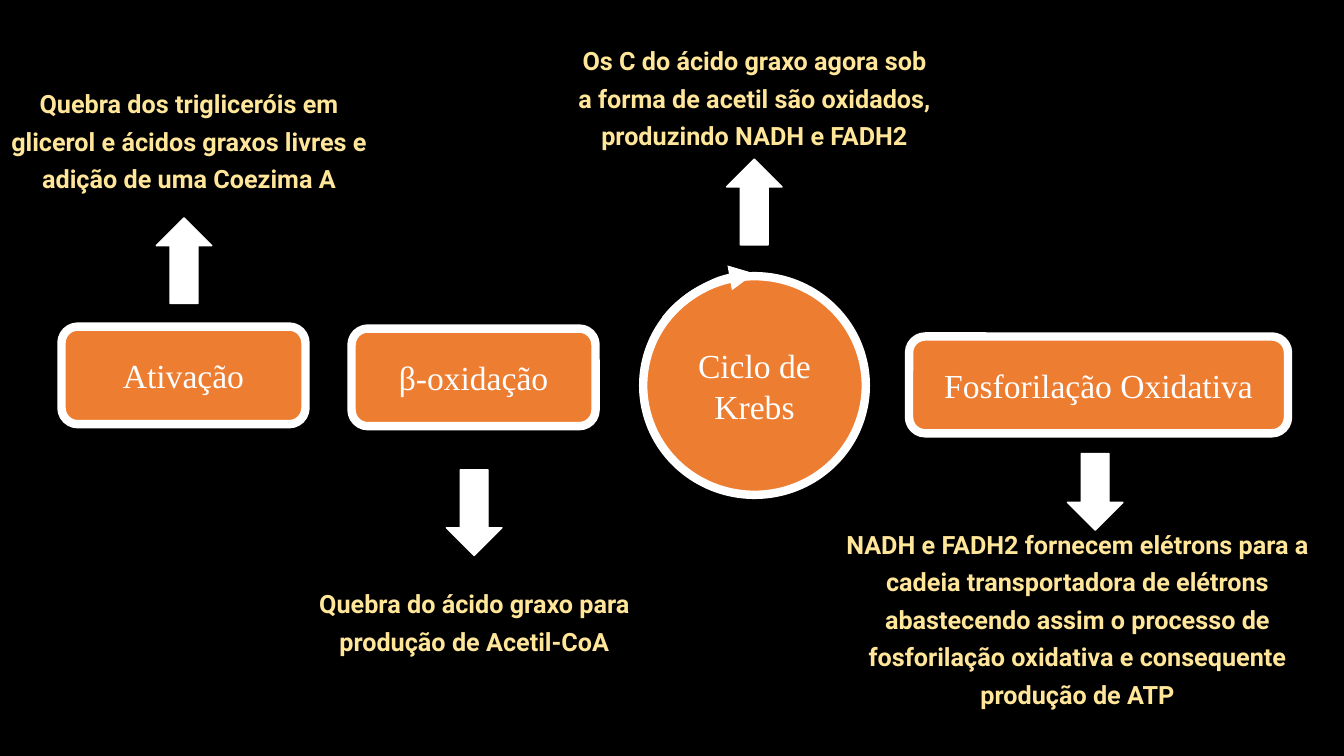
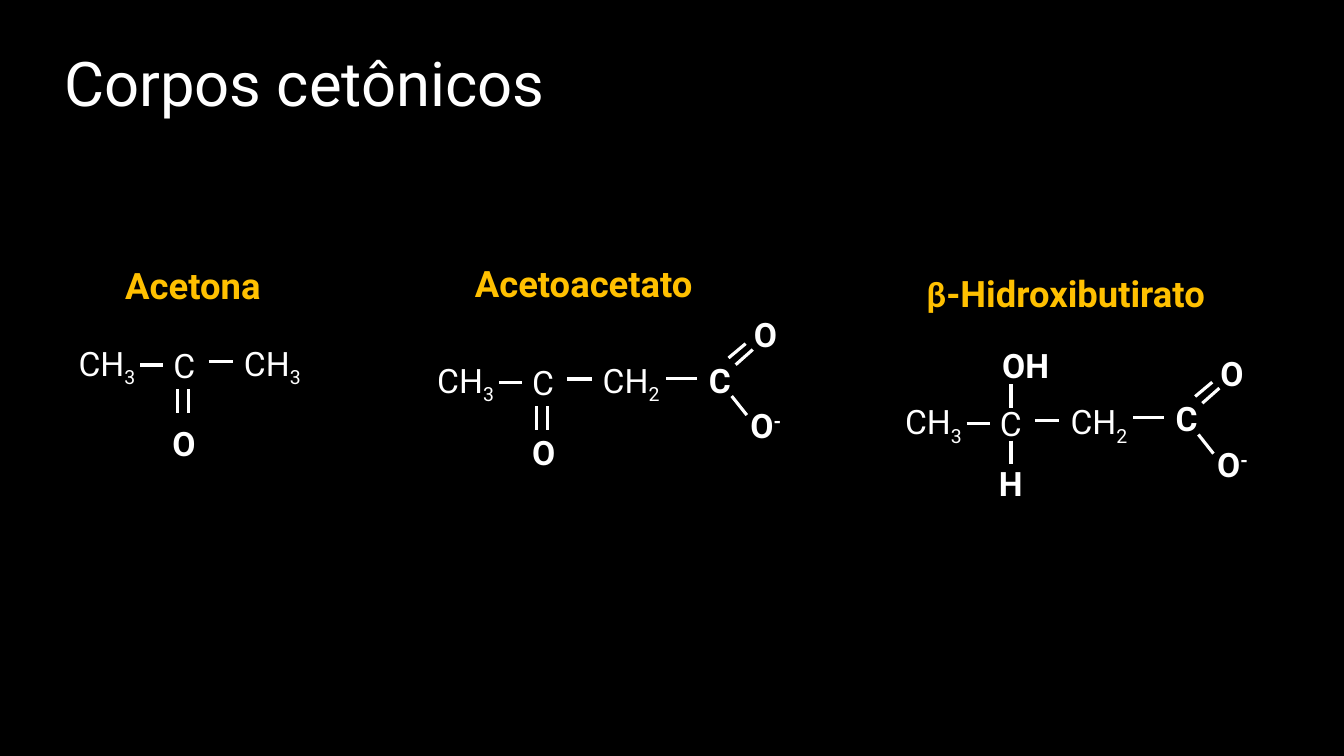
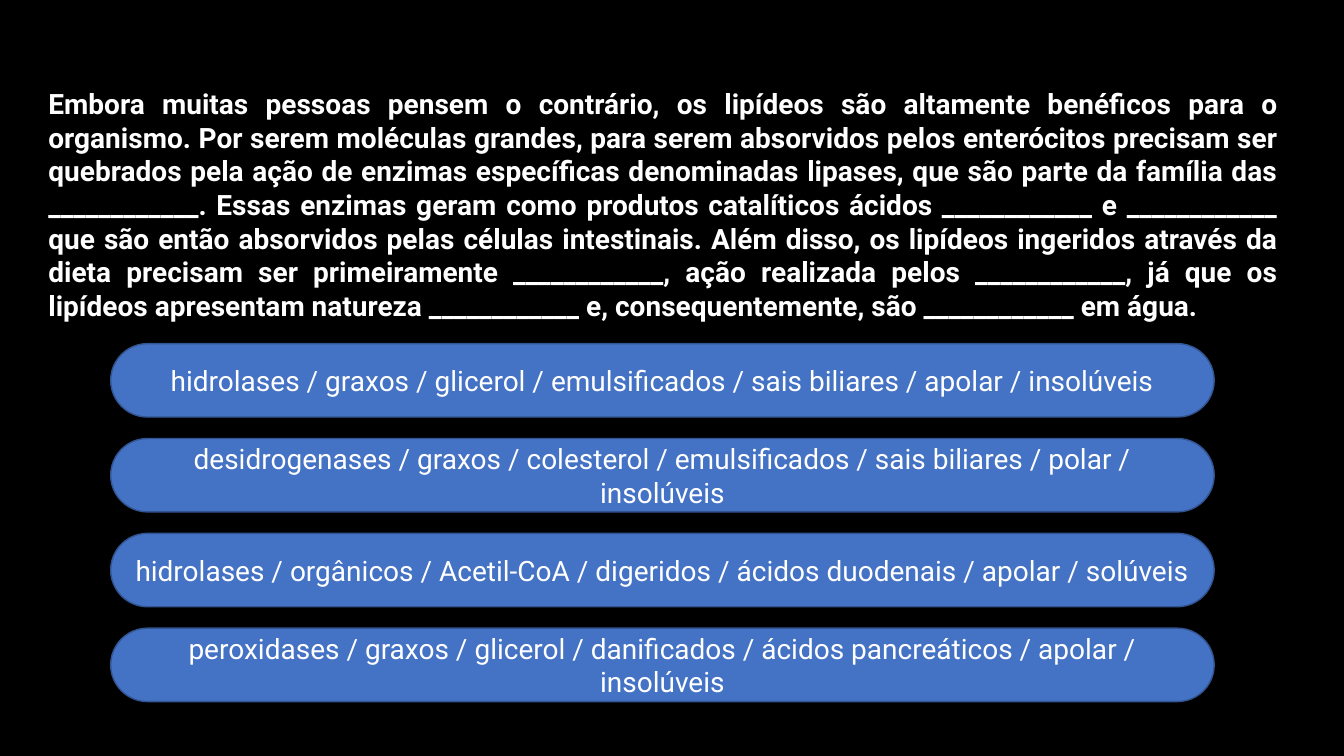
from lxml import etree
from pptx import Presentation
from pptx.dml.color import RGBColor
from pptx.enum import shapes, text
from pptx.oxml import ns
from pptx.util import Cm, Pt

COLORS = {
    "black": "000000", "white": "FFFFFF", "orange": "ED7D31", "cream": "FFE699",
    "gold": "FFC000", "blue": "4472C4", "navy": "325491",
}
KIND = shapes.MSO_SHAPE
LEFT, CENTER, JUSTIFY = (
    text.PP_ALIGN.LEFT, text.PP_ALIGN.CENTER, text.PP_ALIGN.JUSTIFY)
TOP, MIDDLE = text.MSO_ANCHOR.TOP, text.MSO_ANCHOR.MIDDLE

STYLES = {
    "title": {"color": "white", "font": {"size": Pt(44), "name": "Roboto"},
              "paragraph": {"alignment": LEFT, "line_spacing": 0.9},
              "frame": {"vertical_anchor": MIDDLE, "word_wrap": True}},
    "step": {"color": "white", "font": {"size": Pt(24), "name": "Times New Roman"},
             "paragraph": {"alignment": CENTER},
             "frame": {"vertical_anchor": MIDDLE, "word_wrap": True}},
    "note": {"color": "cream", "font": {"size": Pt(18), "name": "Roboto", "bold": True},
             "paragraph": {"alignment": CENTER, "line_spacing": 1.24},
             "frame": {"vertical_anchor": TOP, "word_wrap": True}},
    "compound": {"color": "gold", "font": {"size": Pt(26), "name": "Roboto", "bold": True},
                 "paragraph": {"alignment": CENTER, "line_spacing": 0.9},
                 "frame": {"vertical_anchor": TOP, "word_wrap": True}},
    "chain": {"color": "white", "font": {"size": Pt(24), "name": "Roboto"},
              "paragraph": {"alignment": LEFT},
              "frame": {"vertical_anchor": TOP, "word_wrap": False}},
    "branch": {"color": "white", "font": {"size": Pt(24), "name": "Roboto", "bold": True},
               "paragraph": {"alignment": CENTER},
               "frame": {"vertical_anchor": TOP, "word_wrap": True}},
    "question": {"color": "white", "font": {"size": Pt(20), "name": "Roboto", "bold": True},
                 "paragraph": {"alignment": JUSTIFY},
                 "frame": {"vertical_anchor": TOP, "word_wrap": True}},
    "option": {"color": "white", "font": {"size": Pt(20), "name": "Roboto"},
               "paragraph": {"alignment": CENTER},
               "frame": {"vertical_anchor": MIDDLE, "word_wrap": True}},
}

STEPS = [
    {"name": "Ativação", "kind": KIND.ROUNDED_RECTANGLE, "box": (1.55, 8.23, 6.15, 2.46),
     "arrow": (KIND.UP_ARROW, (3.94, 5.49, 1.4, 2.16)),
     "note": "Quebra dos trigliceróis em glicerol e ácidos graxos livres e "
             "adição de uma Coezima A",
     "note_box": (0, 1.93, 9.53, 3.58)},
    {"name": "β-oxidação", "kind": KIND.ROUNDED_RECTANGLE, "box": (8.86, 8.28, 6.15, 2.46),
     "arrow": (KIND.DOWN_ARROW, (11.25, 11.84, 1.4, 2.16)),
     "note": "Quebra do ácido graxo para produção de Acetil-CoA",
     "note_box": (7.19, 14.53, 9.53, 3.05)},
    {"name": "Ciclo de Krebs", "kind": KIND.OVAL, "box": (16.21, 6.96, 5.61, 5.51),
     "arrow": (KIND.UP_ARROW, (18.31, 4.01, 1.4, 2.16)),
     "note": "Os C do ácido graxo agora sob a forma de acetil são oxidados, "
             "produzindo NADH e FADH2",
     "note_box": (14.25, 0.84, 9.53, 3.05)},
    {"name": "Fosforilação Oxidativa", "kind": KIND.ROUNDED_RECTANGLE,
     "box": (22.91, 8.48, 9.55, 2.44),
     "arrow": (KIND.DOWN_ARROW, (26.9, 11.43, 1.4, 1.93)),
     "note": "NADH e FADH2 fornecem elétrons para a cadeia transportadora de "
             "elétrons abastecendo assim o processo de fosforilação oxidativa e "
             "consequente produção de ATP",
     "note_box": (20.93, 13.03, 12.45, 4.78)},
]
CYCLE_ARC = (16.21, 6.88, 6.2, 5.51)
CYCLE_ANGLES = (127.21, 158.34)

SUB, SUPER = {"baseline": -25000}, {"baseline": 30000}
CH3, CH2 = [("CH", {}), ("3", SUB)], [("CH", {}), ("2", SUB)]
ATOM_HEIGHT = 1.27

BACKBONE_BONDS = [(1.8, 0.69, 2.39, 0.69), (3.53, 0.61, 4.14, 0.61)]
KETONE_BONDS = [(x, 1.3, x, 1.9) for x in (2.74, 3.02)]
HYDROXYL_BONDS = [(2.92, y, 2.92, y + 0.6) for y in (-0.3, 1.12)]
CARBOXYL = {
    "atoms": [("C", 0, 0, 1.75), ([("O", {}), ("-", SUPER)], 1.18, 1.15, 1.7),
              ("O", 1.45, -1.15, 1.14)],
    "bonds": [(1.55, 1.52, 1.17, 1.04), (1.7, -0.13, 1.27, 0.25),
              (1.52, -0.28, 1.09, 0.08), (0.3, 0.6, -0.48, 0.6)],
}
COMPOUNDS = [
    {"name": "Acetona", "name_box": (1.98, 6.63, 5.77, 1.7),
     "origin": (1.73, 8.51), "end": CH3,
     "atoms": [("O", 2.16, 2.03, 1.5)], "bonds": KETONE_BONDS},
    {"name": "Acetoacetato", "name_box": (11.58, 6.58, 6.27, 1.7),
     "origin": (10.77, 8.94), "end": CH2,
     "atoms": [("O", 2.18, 1.83, 1.5)], "bonds": KETONE_BONDS,
     "carboxyl": (17.27, 8.94)},
    {"name": [("β", {"name": "Calibri"}), ("-Hidroxibutirato", {})],
     "name_box": (22.81, 6.83, 8.1, 1.7),
     "origin": (22.56, 9.98), "end": CH2,
     "atoms": [("OH", 2.36, -1.42, 1.85), ("H", 2.16, 1.55, 1.5)],
     "bonds": HYDROXYL_BONDS, "carboxyl": (29.03, 9.91)},
]

BLANK = "_" * 12
QUESTION = (
    "Embora muitas pessoas pensem o contrário, os lipídeos são altamente benéficos "
    "para o organismo. Por serem moléculas grandes, para serem absorvidos pelos "
    "enterócitos precisam ser quebrados pela ação de enzimas específicas denominadas "
    f"lipases, que são parte da família das {BLANK}. Essas enzimas geram como produtos "
    f"catalíticos ácidos {BLANK} e {BLANK} que são então absorvidos pelas células "
    "intestinais. Além disso, os lipídeos ingeridos através da dieta precisam ser "
    f"primeiramente {BLANK}, ação realizada pelos {BLANK}, já que os lipídeos "
    f"apresentam natureza {BLANK} e, consequentemente, são {BLANK} em água."
)
OPTIONS = [
    "hidrolases / graxos / glicerol / emulsificados / sais biliares / apolar / insolúveis",
    "desidrogenases / graxos / colesterol / emulsificados / sais biliares / polar / insolúveis",
    "hidrolases / orgânicos / Acetil-CoA / digeridos / ácidos duodenais / apolar / solúveis",
    "peroxidases / graxos / glicerol / danificados / ácidos pancreáticos / apolar / insolúveis",
]
OPTION_TOP, OPTION_STEP = 8.66, 2.39


def rgb(color):
    return RGBColor.from_string(COLORS[color])


def apply(target, values):
    for key, value in values.items():
        setattr(target, key, value)


def write(frame, content, style_name):
    style = STYLES[style_name]
    apply(frame, style["frame"])
    paragraph = frame.paragraphs[0]
    apply(paragraph, style["paragraph"])
    pieces = [(content, {})] if isinstance(content, str) else content
    for words, changes in pieces:
        run = paragraph.add_run()
        run.text = words
        values = {**style["font"], **changes}
        baseline = values.pop("baseline", None)
        apply(run.font, values)
        run.font.color.rgb = rgb(style["color"])
        if baseline:
            run._r.get_or_add_rPr().set("baseline", str(baseline))


def add_text(slide, box, content, style_name):
    label = slide.shapes.add_textbox(*map(Cm, box))
    write(label.text_frame, content, style_name)


def add_figure(slide, kind, box, fill, line, width):
    figure = slide.shapes.add_shape(kind, *map(Cm, box))
    figure.shadow.inherit = False
    if fill:
        figure.fill.solid()
        figure.fill.fore_color.rgb = rgb(fill)
    else:
        figure.fill.background()
    figure.line.color.rgb = rgb(line)
    figure.line.width = Pt(width)
    return figure


def add_group(slide, origin, atoms, bonds, style_name):
    left, top = origin
    for symbol, x, y, width in atoms:
        add_text(slide, (left + x, top + y, width, ATOM_HEIGHT), symbol, style_name)
    for x1, y1, x2, y2 in bonds:
        bond = slide.shapes.add_connector(
            shapes.MSO_CONNECTOR.STRAIGHT,
            Cm(left + x1), Cm(top + y1), Cm(left + x2), Cm(top + y2))
        bond.line.color.rgb = rgb("white")
        bond.line.width = Pt(2.25)
        etree.SubElement(bond._element.spPr, ns.qn("a:effectLst"))


def build_pathway(slide):
    for step in STEPS:
        figure = add_figure(slide, step["kind"], step["box"], "orange", "white", 6)
        write(figure.text_frame, step["name"], "step")
        add_figure(slide, *step["arrow"], "white", "white", 1)
        add_text(slide, step["note_box"], step["note"], "note")
    cycle = add_figure(slide, KIND.ARC, CYCLE_ARC, None, "white", 6)
    for index, angle in enumerate(CYCLE_ANGLES):
        cycle.adjustments[index] = angle
    etree.SubElement(cycle.line._get_or_add_ln(), ns.qn("a:tailEnd"), type="triangle")


def build_ketone_bodies(slide):
    add_text(slide, (1.37, 0.97, 29.21, 2.44), "Corpos cetônicos", "title")
    for compound in COMPOUNDS:
        add_text(slide, compound["name_box"], compound["name"], "compound")
        backbone = [(CH3, 0, 0, 2), ("C", 2.39, 0.05, 1.07), (compound["end"], 4.17, 0, 2)]
        add_group(slide, compound["origin"], backbone, BACKBONE_BONDS, "chain")
        add_group(slide, compound["origin"], compound["atoms"], compound["bonds"], "branch")
        if "carboxyl" in compound:
            add_group(slide, compound["carboxyl"], **CARBOXYL, style_name="branch")


def build_quiz(slide):
    add_text(slide, (0.97, 2.06, 31.5, 6.25), QUESTION, "question")
    for index, answer in enumerate(OPTIONS):
        box = (2.79, OPTION_TOP + index * OPTION_STEP, 27.81, 1.85)
        option = add_figure(slide, KIND.ROUNDED_RECTANGLE, box, "blue", "navy", 1)
        option.adjustments[0] = 0.5
        write(option.text_frame, answer, "option")


def main():
    deck = Presentation()
    deck.slide_width, deck.slide_height = Cm(33.87), Cm(19.05)
    backdrop = deck.slide_master.background.fill
    backdrop.solid()
    backdrop.fore_color.rgb = rgb("black")
    for build in (build_pathway, build_ketone_bodies, build_quiz):
        build(deck.slides.add_slide(deck.slide_layouts[6]))
    deck.save("out.pptx")


if __name__ == "__main__":
    main()
